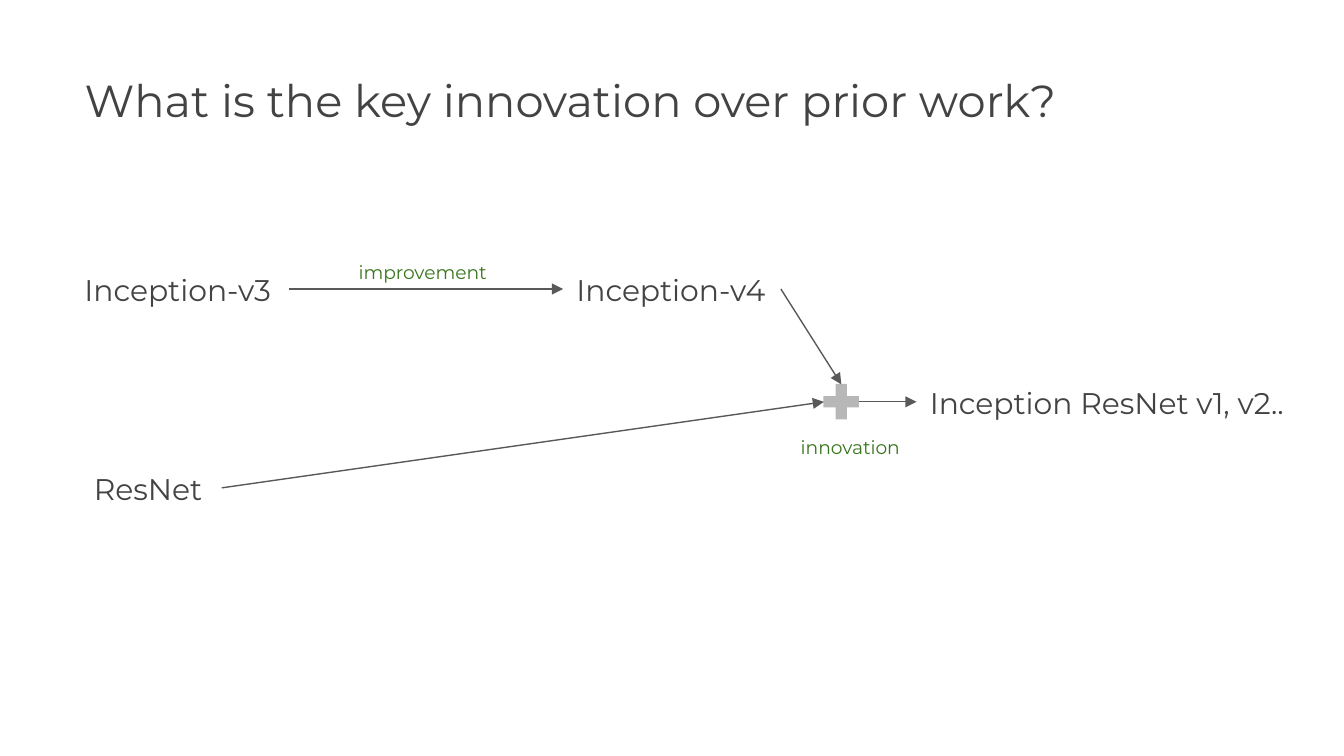
from pptx import Presentation
from pptx.dml.color import RGBColor
from pptx.enum.shapes import MSO_CONNECTOR, MSO_SHAPE
from pptx.enum.text import MSO_ANCHOR, PP_ALIGN
from pptx.oxml.ns import qn
from pptx.util import Inches, Pt
from lxml import etree

STRAIGHT = MSO_CONNECTOR.STRAIGHT
PLUS = MSO_SHAPE.MATH_PLUS
TOP, LEFT = MSO_ANCHOR.TOP, PP_ALIGN.LEFT
LEFT_SIDE, RIGHT_SIDE = 1, 3

FONT = "Montserrat"
INK = RGBColor(0x43, 0x43, 0x43)
GREEN = RGBColor(0x38, 0x76, 0x1D)
ARROW_GRAY = RGBColor(0x59, 0x59, 0x59)
PLUS_GRAY = RGBColor(0xB7, 0xB7, 0xB7)


def write(shape, text, size, color):
    frame = shape.text_frame
    frame.word_wrap = True
    frame.vertical_anchor = TOP
    frame.margin_left = frame.margin_right = Inches(0.1)
    frame.margin_top = frame.margin_bottom = Inches(0.1)
    paragraph = frame.paragraphs[0]
    paragraph.alignment = LEFT
    run = paragraph.add_run()
    run.text = text
    run.font.name = FONT
    run.font.size = Pt(size)
    run.font.color.rgb = color


def add_label(slide, text, x, y, width, height=0.46, size=16, color=INK):
    label = slide.shapes.add_textbox(
        Inches(x), Inches(y), Inches(width), Inches(height))
    write(label, text, size, color)
    return label


def add_arrow(slide, start, end, source=None, target=None):
    """Draw an arrow, joined to the source's right and the target's left."""
    arrow = slide.shapes.add_connector(
        STRAIGHT, *(Inches(length) for length in (*start, *end)))
    if source is not None:
        arrow.begin_connect(source, RIGHT_SIDE)
    if target is not None:
        arrow.end_connect(target, LEFT_SIDE)
    arrow.line.color.rgb = ARROW_GRAY
    arrow.line.width = Pt(0.75)
    line_xml = arrow.line._get_or_add_ln()
    etree.SubElement(line_xml, qn("a:tailEnd"), type="triangle")
    etree.SubElement(arrow._element.spPr, qn("a:effectLst"))


def add_title(slide, x, y, width, height):
    title = slide.shapes.title
    title.left, title.top = Inches(x), Inches(y)
    title.width, title.height = Inches(width), Inches(height)
    write(title, "What is the key innovation over prior work?", 24, INK)


def add_lineage(slide, x, y):
    # Networks
    inception_v3 = add_label(slide, "Inception-v3", x, y, 1.62)
    inception_v4 = add_label(slide, "Inception-v4", x + 3.66, y, 1.62)
    resnet = add_label(slide, "ResNet", x + 0.07, y + 1.48, 1.05)
    combined = add_label(slide, "Inception ResNet v1, v2..", x + 6.29, y + 0.84, 3.02)

    # Plus sign where the two branches meet
    plus_size = 0.36
    plus_x, plus_y = x + 5.55, y + 0.89
    plus = slide.shapes.add_shape(
        PLUS, Inches(plus_x), Inches(plus_y), Inches(plus_size), Inches(plus_size))
    plus.adjustments[0] = 0.235
    plus.shadow.inherit = False
    plus.fill.solid()
    plus.fill.fore_color.rgb = PLUS_GRAY
    plus.line.fill.background()

    # Arrows: the arms of the plus stop short of its box
    arm_inset = 0.05
    middle_x, middle_y = plus_x + plus_size / 2, plus_y + plus_size / 2
    plus_top = (middle_x, plus_y + arm_inset)
    plus_left = (plus_x + arm_inset, middle_y)
    plus_right = (plus_x + plus_size - arm_inset, middle_y)
    row_y = y + 0.23
    add_arrow(slide, (x + 1.62, row_y), (x + 3.66, row_y), inception_v3, inception_v4)
    add_arrow(slide, (x + 5.28, row_y), plus_top, source=inception_v4)
    add_arrow(slide, (x + 1.12, y + 1.71), plus_left, source=resnet)
    add_arrow(slide, plus_right, (x + 6.29, middle_y), target=combined)

    # Green notes
    add_label(slide, "improvement", x + 2.04, y - 0.06, 1.33, 0.25, 10, GREEN)
    add_label(slide, "innovation", x + 5.33, y + 1.24, 0.94, 0.25, 10, GREEN)


def main():
    presentation = Presentation()
    presentation.slide_width = Inches(10)
    presentation.slide_height = presentation.slide_width * 9 // 16
    title_only = presentation.slide_layouts[5]
    slide = presentation.slides.add_slide(title_only)
    add_title(slide, 0.53, 0.44, 9.73, 0.89)
    add_lineage(slide, 0.53, 1.92)
    presentation.save("out.pptx")


if __name__ == "__main__":
    main()
